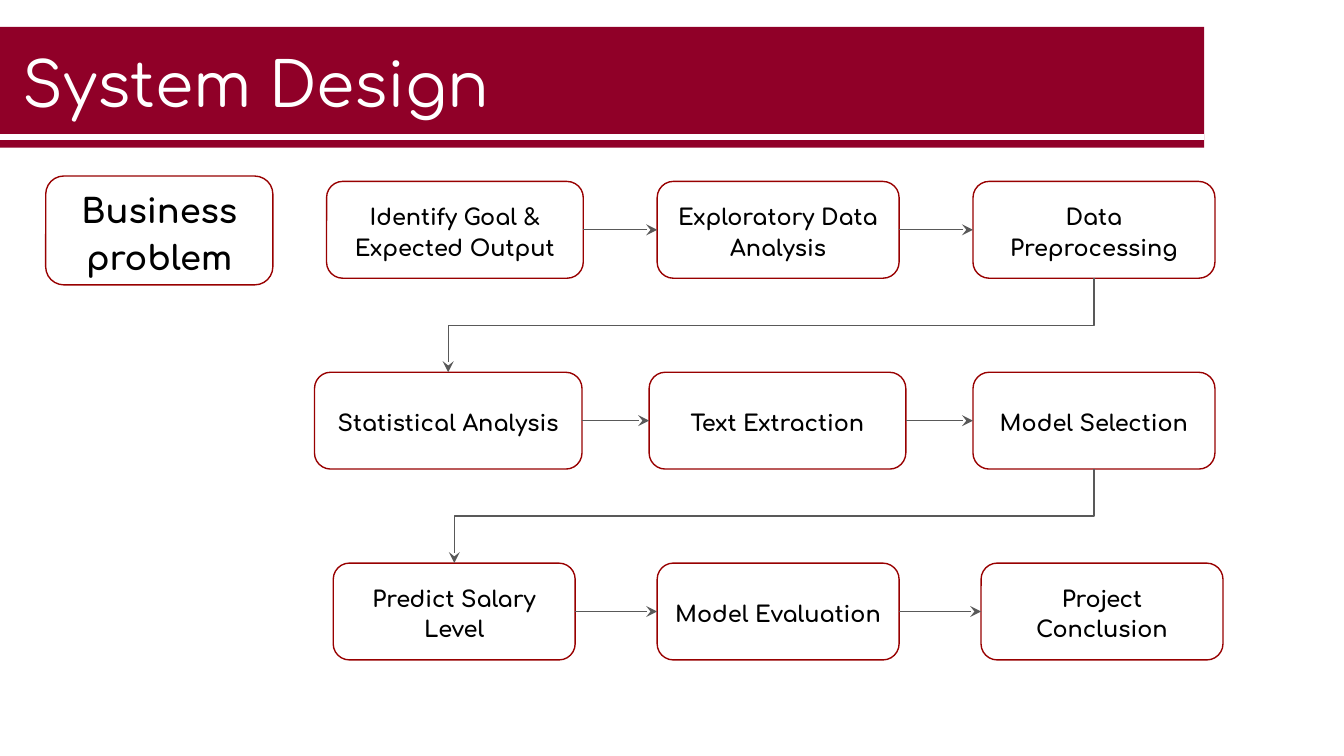
import pptx
import pptx.util
from lxml import etree
from pptx.dml.color import RGBColor
from pptx.enum.shapes import MSO_CONNECTOR, MSO_SHAPE
from pptx.enum.text import MSO_ANCHOR, PP_ALIGN
from pptx.oxml.ns import qn
from pptx.util import Inches, Pt


class Theme:
    font = "Comfortaa"
    band = RGBColor(0x90, 0x00, 0x28)
    edge = RGBColor(0x98, 0x00, 0x00)
    arrow = RGBColor(0x59, 0x59, 0x59)
    white = RGBColor(0xFF, 0xFF, 0xFF)
    black = RGBColor(0x00, 0x00, 0x00)
    title, start, step = Pt(33), Pt(18), Pt(12)
    thin, thick = Pt(0.75), Pt(3)


# Each row: top, then (left, width, label) for every step.
ROWS = [
    (1.35, [(2.43, 1.91, "Identify Goal & Expected Output"),
            (4.89, 1.8, "Exploratory Data Analysis"),
            (7.24, 1.8, "Data Preprocessing")]),
    (2.77, [(2.34, 1.99, "Statistical Analysis"),
            (4.83, 1.91, "Text Extraction"),
            (7.24, 1.8, "Model Selection")]),
    (4.19, [(2.48, 1.8, "Predict Salary Level"),
            (4.89, 1.8, "Model Evaluation"),
            (7.3, 1.8, "Project Conclusion")]),
]
STEP_HIGH = 0.72
LEFT, RIGHT = 1, 3


def apply(item, values):
    for name, value in values.items():
        setattr(item, name, value)


def write(shape, text, size, color, bold, pad, para):
    """Fill a shape with one paragraph; pad is the side and end margin."""
    side, end = map(Inches, pad)
    frame = shape.text_frame
    apply(frame, {"word_wrap": True, "vertical_anchor": MSO_ANCHOR.MIDDLE,
                  "margin_left": side, "margin_right": side,
                  "margin_top": end, "margin_bottom": end})
    first = frame.paragraphs[0]
    apply(first, para)
    run = first.add_run()
    run.text = text
    apply(run.font, {"name": Theme.font, "size": size, "bold": bold})
    run.font.color.rgb = color


def link(slide, kind, ends, color, width, head=False):
    line = slide.shapes.add_connector(kind, *ends)
    line.line.width = width
    line.line.color.rgb = color
    props = line._element.spPr
    if head:
        etree.SubElement(props.find(qn("a:ln")), qn("a:tailEnd"), type="stealth")
    etree.SubElement(props, qn("a:effectLst"))
    return line


def header(slide, left, top, width, height, text):
    """Title band with a white rule near its lower edge."""
    band = slide.shapes.add_shape(
        MSO_SHAPE.RECTANGLE, *map(Inches, (left, top, width, height)))
    band.shadow.inherit = False
    band.fill.solid()
    band.fill.fore_color.rgb = Theme.band
    band.line.fill.background()
    rule = top + height - 0.08
    link(slide, MSO_CONNECTOR.STRAIGHT,
         map(Inches, (left, rule, left + width, rule)), Theme.white, Theme.thick)
    title = slide.shapes.add_textbox(
        *map(Inches, (left + 0.1, top - 0.09, width - 0.34, height + 0.19)))
    write(title, text, Theme.title, Theme.white, False, (0.07, 0.04),
          {"line_spacing": 0.9})


def card(slide, left, top, width, height, text, size):
    box = slide.shapes.add_shape(
        MSO_SHAPE.ROUNDED_RECTANGLE, *map(Inches, (left, top, width, height)))
    box.shadow.inherit = False
    box.fill.background()
    box.line.color.rgb = Theme.edge
    box.line.width = Theme.thin
    write(box, text, size, Theme.black, True, (0.1, 0.1),
          {"alignment": PP_ALIGN.CENTER, "line_spacing": 1.15,
           "space_before": Pt(10), "space_after": Pt(12)})
    return box


def across(slide, a, b):
    """Arrow from the right side of a to the left side of b."""
    y = a.top + a.height // 2
    line = link(slide, MSO_CONNECTOR.STRAIGHT, (a.left + a.width, y, b.left, y),
                Theme.arrow, Theme.thin, True)
    line.begin_connect(a, RIGHT)
    line.end_connect(b, LEFT)


def down(slide, a, b):
    """Elbow arrow from the bottom of a to the top of b, further left."""
    x1, y1 = a.left + a.width // 2, a.top + a.height
    x2, y2 = b.left + b.width // 2, b.top
    # The frame is turned a quarter, so its width runs down the slide.
    wide, high = y2 - y1, x1 - x2
    left, top = (x1 + x2 - wide) // 2, (y1 + y2 - high) // 2
    line = link(slide, MSO_CONNECTOR.ELBOW, (left, top, left + wide, top + high),
                Theme.arrow, Theme.thin, True)
    line._element.spPr.find(qn("a:xfrm")).set("rot", str(90 * 60000))


def flow(slide, rows):
    grid = [[card(slide, left, top, width, STEP_HIGH, text, Theme.step)
             for left, width, text in steps] for top, steps in rows]
    for row in grid:
        for a, b in zip(row, row[1:]):
            across(slide, a, b)
    for above, below in zip(grid, grid[1:]):
        down(slide, above[-1], below[0])


def main():
    deck = pptx.Presentation()
    wide = Inches(10)
    apply(deck, {"slide_width": wide, "slide_height": wide * 9 // 16})
    slide = deck.slides.add_slide(deck.slide_layouts[6])
    header(slide, 0, 0.2, 8.96, 0.9, "System Design")
    card(slide, 0.34, 1.31, 1.69, 0.81, "Business problem", Theme.start)
    flow(slide, ROWS)
    deck.save("out.pptx")


if __name__ == "__main__":
    main()
